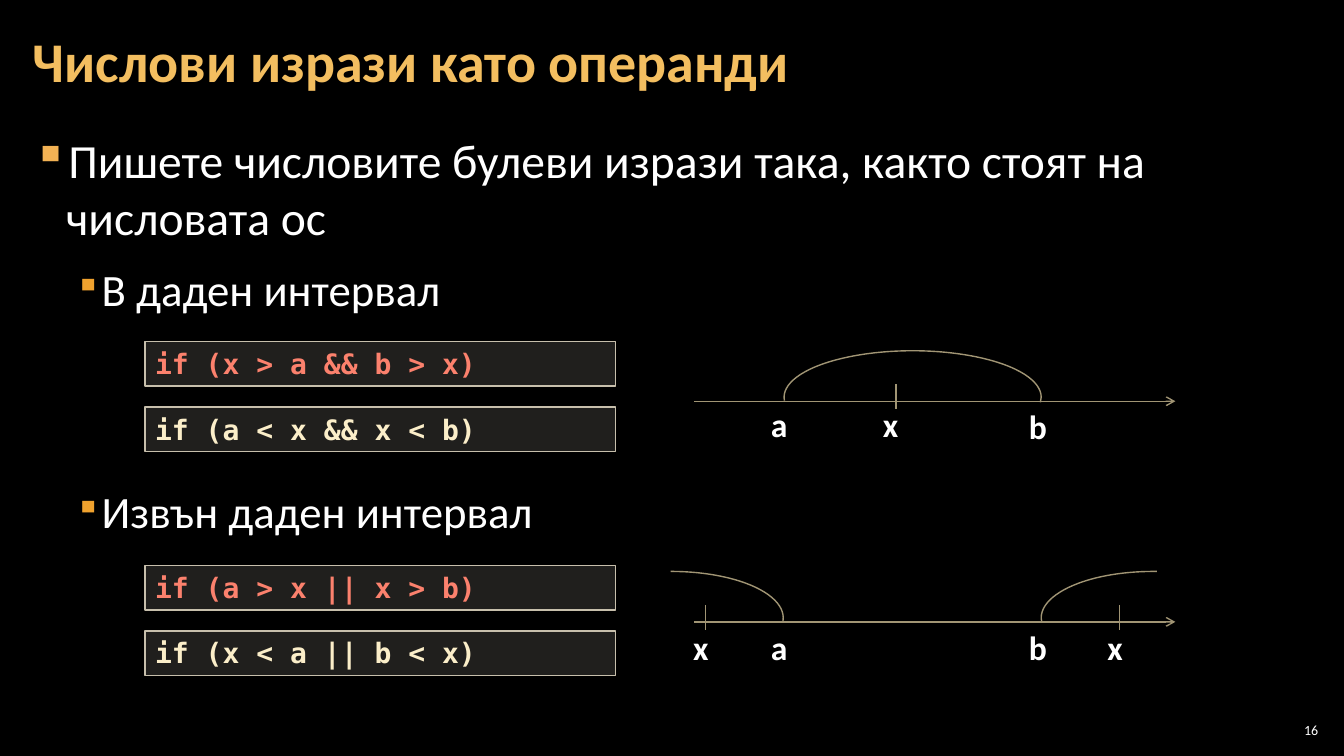
from dataclasses import dataclass

from pptx import Presentation
from pptx.dml.color import RGBColor
from pptx.enum.shapes import MSO_CONNECTOR, MSO_SHAPE
from pptx.enum.text import MSO_ANCHOR, MSO_AUTO_SIZE, PP_ALIGN
from pptx.oxml.ns import qn
from pptx.oxml.xmlchemy import OxmlElement
from pptx.util import Cm, Pt

LINE = MSO_CONNECTOR.STRAIGHT
RECT, ARC = MSO_SHAPE.RECTANGLE, MSO_SHAPE.ARC
TOP, MIDDLE = MSO_ANCHOR.TOP, MSO_ANCHOR.MIDDLE
LEFT, RIGHT = PP_ALIGN.LEFT, PP_ALIGN.RIGHT
GROW = MSO_AUTO_SIZE.SHAPE_TO_FIT_TEXT


@dataclass(frozen=True)
class Theme:
    sans: str = "Calibri"
    mono: str = "DejaVu Sans Mono"
    back: str = "000000"
    white: str = "FFFFFF"
    gold: str = "F3BE60"
    mark: str = "F2B254"
    submark: str = "F0A22E"
    bad: str = "FB816D"
    good: str = "FBEEC9"
    panel: str = "D9D5C7"
    edge: str = "C7BFAC"
    axis: str = "A19574"
    title: int = 40
    lead: int = 34
    point: int = 32
    label: int = 24
    code: int = 20
    page: int = 10


@dataclass(frozen=True)
class Bullet:
    text: str
    size: int
    level: int
    left: float
    hang: float
    before: int
    tint: str
    scale: int


@dataclass(frozen=True)
class Bow:
    left: float
    width: float
    start: float
    end: float


@dataclass(frozen=True)
class Label:
    text: str
    left: float
    drop: float = 0


@dataclass(frozen=True)
class Case:
    code_top: float
    bad: str
    good: str
    axis_y: float
    bows: tuple[Bow, ...]
    ticks: tuple[float, ...]
    labels: tuple[Label, ...]


T = Theme()
BULLETS = (
    Bullet("Пишете числовите булеви изрази така, както стоят на числовата ос",
           T.lead, 0, 0.84, 0.84, 0, T.mark, 100),
    Bullet("В даден интервал", T.point, 1, 1.7, 0.64, 6, T.submark, 80),
    Bullet("Извън даден интервал", T.point, 1, 1.7, 0.64, 114, T.submark, 80),
)
# Bow angles are in degrees, clockwise from the right
CASES = (
    Case(8.61, "if (x > a && b > x)", "if (a < x && x < b)", 10.11,
         (Bow(19.76, 6.48, 178.44, 2.28),), (22.58,),
         (Label("a", 19.18, -0.05), Label("b", 25.68), Label("x", 22, -0.05))),
    Case(14.25, "if (a > x || x > b)", "if (x < a || b < x)", 15.67,
         (Bow(26.24, 5.64, 177.44, 274.57), Bow(14.1, 5.64, 269.11, 1.55)),
         (17.78, 28.22),
         (Label("a", 19.18), Label("b", 25.68),
          Label("x", 17.22), Label("x", 27.66))),
)


def rgb(tint: str) -> RGBColor:
    return RGBColor.from_string(tint)


def add_tag(parent, tag: str, **values: str):
    node = OxmlElement(tag)
    for key, value in values.items():
        node.set(key, value)
    parent.append(node)
    return node


def style(para, size: int, tint: str, bold: bool = False, face: str = T.sans) -> None:
    for run in para.runs:
        font = run.font
        font.name, font.size, font.bold = face, Pt(size), bold
        font.color.rgb = rgb(tint)


def add_box(slide, left: float, top: float, width: float, height: float,
            anchor=TOP, inset: tuple[float, float] = (0.25, 0.13)):
    box = slide.shapes.add_textbox(Cm(left), Cm(top), Cm(width), Cm(height))
    frame = box.text_frame
    frame.word_wrap, frame.vertical_anchor = True, anchor
    frame.margin_left = frame.margin_right = Cm(inset[0])
    frame.margin_top = frame.margin_bottom = Cm(inset[1])
    return frame


def add_bullet(para, item: Bullet) -> None:
    para.text = item.text
    props = para._p.get_or_add_pPr()
    props.set("marL", str(Cm(item.left)))
    props.set("indent", str(-Cm(item.hang)))
    add_tag(add_tag(props, "a:buClr"), "a:srgbClr", val=item.tint)
    add_tag(props, "a:buSzPct", val=str(item.scale * 1000))
    add_tag(props, "a:buChar", char="▪")
    para.level = item.level
    para.space_before, para.space_after = Pt(item.before), Pt(6)
    style(para, item.size, T.white)


def add_code(slide, top: float, text: str, tint: str) -> None:
    box = slide.shapes.add_shape(RECT, Cm(3.66), Cm(top), Cm(11.86), Cm(1.12))
    box.shadow.inherit = False
    box.fill.solid()
    box.fill.fore_color.rgb = rgb(T.panel)
    add_tag(box._element.spPr.find(qn("a:solidFill"))[0], "a:alpha", val="15000")
    box.line.color.rgb, box.line.width = rgb(T.edge), Pt(1)
    frame = box.text_frame
    frame.text = text
    frame.word_wrap, frame.auto_size, frame.vertical_anchor = True, GROW, TOP
    frame.paragraphs[0].alignment = LEFT
    style(frame.paragraphs[0], T.code, tint, True, T.mono)


def add_line(slide, x1: float, y1: float, x2: float, y2: float,
             arrow: bool = False) -> None:
    line = slide.shapes.add_connector(LINE, Cm(x1), Cm(y1), Cm(x2), Cm(y2))
    line.line.color.rgb, line.line.width = rgb(T.axis), Pt(1)
    props = line._element.spPr
    if arrow:
        add_tag(props.find(qn("a:ln")), "a:tailEnd", type="arrow")
    add_tag(props, "a:effectLst")


def add_bow(slide, bow: Bow, top: float) -> None:
    arc = slide.shapes.add_shape(ARC, Cm(bow.left), Cm(top), Cm(bow.width), Cm(2.34))
    arc.shadow.inherit = False
    arc.fill.background()
    arc.line.color.rgb, arc.line.width = rgb(T.axis), Pt(1)
    # One degree is 60000 units, one adjustment is 100000
    arc.adjustments[0], arc.adjustments[1] = bow.start * 0.6, bow.end * 0.6


def add_case(slide, case: Case) -> None:
    add_code(slide, case.code_top, case.bad, T.bad)
    add_code(slide, case.code_top + 1.65, case.good, T.good)
    y = case.axis_y
    add_line(slide, 17.5, y, 29.62, y, arrow=True)
    for bow in case.bows:
        add_bow(slide, bow, y - 1.27)
    for x in case.ticks:
        add_line(slide, x, y - 0.43, x, y + 0.2)
    for label in case.labels:
        frame = add_box(slide, label.left, y + label.drop, 1.42, 1.32)
        frame.text = label.text
        frame.auto_size = GROW
        style(frame.paragraphs[0], T.label, T.white, True)


def main() -> None:
    deck = Presentation()
    deck.slide_width, deck.slide_height = Cm(33.87), Cm(19.05)
    slide = deck.slides.add_slide(deck.slide_layouts[6])
    slide.background.fill.solid()
    slide.background.fill.fore_color.rgb = rgb(T.back)

    # Title
    title = add_box(slide, 0.53, 0.1, 26.59, 3.07, MIDDLE, (0.3, 0.1))
    title.text = "Числови изрази като операнди"
    title.paragraphs[0].line_spacing = 0.9
    style(title.paragraphs[0], T.title, T.gold, True)

    # Bullets
    body = add_box(slide, 0.53, 3.2, 32.79, 15.47, TOP, (0.3, 0.1))
    for i, item in enumerate(BULLETS):
        add_bullet(body.add_paragraph() if i else body.paragraphs[0], item)

    # Code and number lines
    for case in CASES:
        add_case(slide, case)

    # Page number
    page = add_box(slide, 32.13, 18.14, 1.19, 0.53, MIDDLE, (0.1, 0.1))
    page.text = "16"
    page.paragraphs[0].alignment = RIGHT
    style(page.paragraphs[0], T.page, T.white)

    deck.save("out.pptx")


if __name__ == "__main__":
    main()
